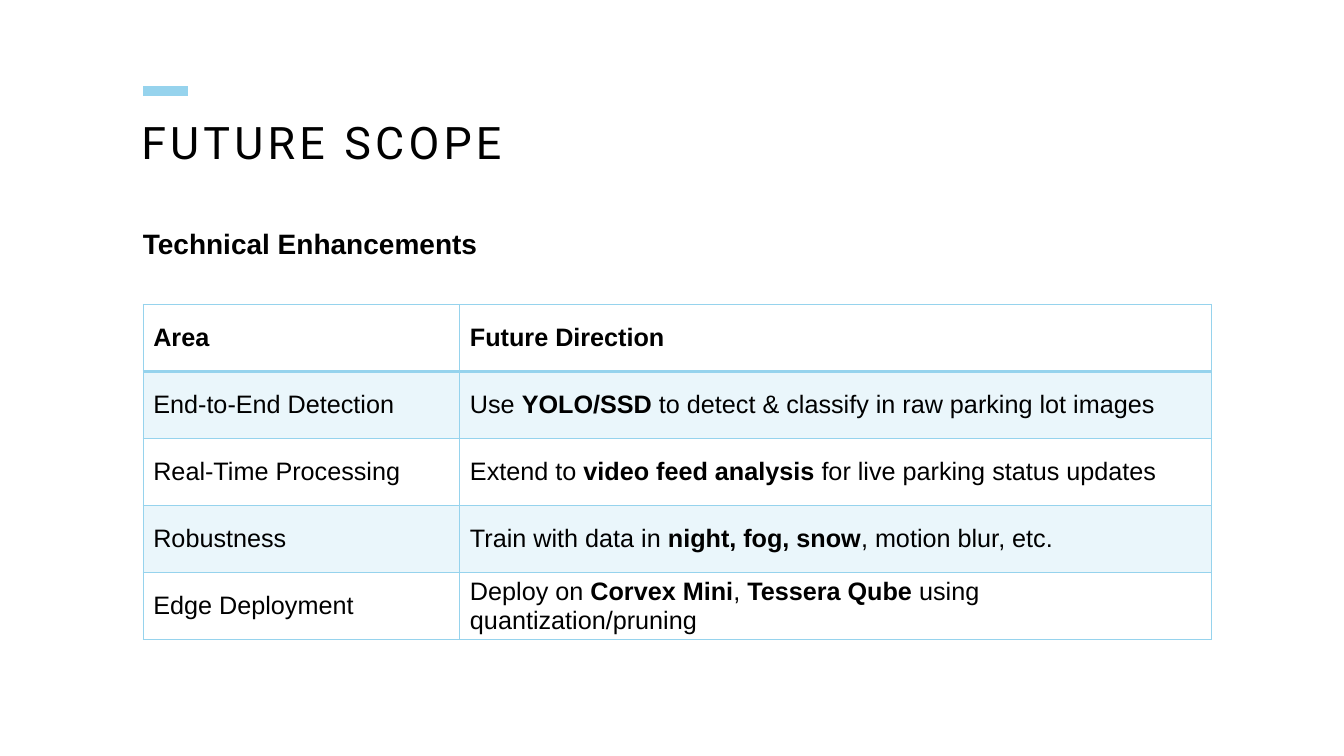
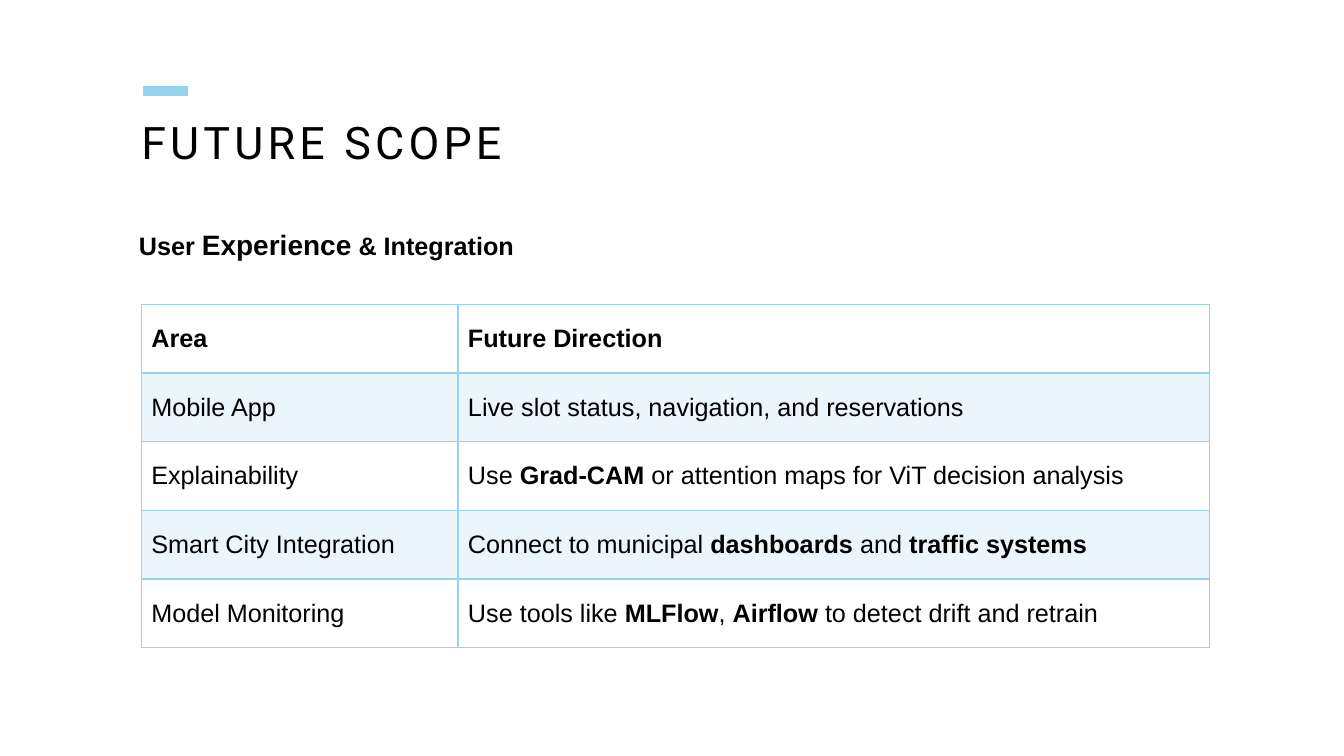
from lxml import etree
from pptx import Presentation
from pptx.dml.color import RGBColor
from pptx.enum.shapes import MSO_CONNECTOR
from pptx.enum.text import MSO_ANCHOR, MSO_AUTO_SIZE, PP_ALIGN
from pptx.oxml import parse_xml
from pptx.oxml.ns import nsdecls, qn
from pptx.util import Cm, Pt

STRAIGHT = MSO_CONNECTOR.STRAIGHT
TOP, MIDDLE = MSO_ANCHOR.TOP, MSO_ANCHOR.MIDDLE
FIXED, GROW = MSO_AUTO_SIZE.NONE, MSO_AUTO_SIZE.SHAPE_TO_FIT_TEXT
LEFT = PP_ALIGN.LEFT

COLORS = {"accent": "96D3ED", "text": "000000"}
TITLE_ONLY = 5
TITLE_FONT = {"name": "Roboto", "size": Pt(32), "bold": False}
BODY_FONT = {"name": "Arial", "size": Pt(18)}
TITLE_FRAME = {"margin_left": 0, "margin_top": 0, "margin_right": 0, "margin_bottom": 0,
               "vertical_anchor": TOP, "word_wrap": True, "auto_size": FIXED}
HEADING_FRAME = {"word_wrap": True, "auto_size": GROW}
TITLE_BOX = {"left": Cm(3.56), "top": Cm(3.05), "width": Cm(27.28), "height": Cm(2.54)}
TABLE_TOP = Cm(7.67)
COLUMN_WIDTHS = (Cm(7.98), Cm(18.95))
HEADER = ("**Area**", "**Future Direction**")

SLIDES = [
    {
        "heading": [("Technical Enhancements", 20)],
        "heading_at": (Cm(3.35), Cm(5.59)),
        "table_left": Cm(3.61),
        "row_height": Cm(1.69),
        "rows": [
            ("End-to-End Detection",
             "Use **YOLO/SSD** to detect & classify in raw parking lot images"),
            ("Real-Time Processing",
             "Extend to **video feed analysis** for live parking status updates"),
            ("Robustness", "Train with data in **night, fog, snow**, motion blur, etc."),
            ("Edge Deployment",
             "Deploy on **Corvex Mini**, **Tessera Qube** using quantization/pruning"),
        ],
    },
    {
        "heading": [("User ", 18), ("Experience", 20), (" & Integration", 18)],
        "heading_at": (Cm(3.25), Cm(5.61)),
        "table_left": Cm(3.56),
        "row_height": Cm(1.73),
        "rows": [
            ("Mobile App", "Live slot status, navigation, and reservations"),
            ("Explainability", "Use **Grad-CAM** or attention maps for ViT decision analysis"),
            ("Smart City Integration",
             "Connect to municipal **dashboards** and **traffic systems**"),
            ("Model Monitoring",
             "Use tools like **MLFlow**, **Airflow** to detect drift and retrain"),
        ],
    },
]


def color(name):
    return RGBColor.from_string(COLORS[name])


def set_attributes(target, values):
    for name, value in values.items():
        setattr(target, name, value)


def add_run(paragraph, text, font_values):
    run = paragraph.add_run()
    run.text = text
    set_attributes(run.font, font_values)
    run.font.color.rgb = color("text")
    return run


def add_marked_text(paragraph, text):
    """Write text in which ** switches bold on and off."""
    for index, part in enumerate(text.split("**")):
        if part:
            add_run(paragraph, part, {**BODY_FONT, "bold": index % 2 == 1})


def add_accent_bar(slide):
    bar = slide.shapes.add_connector(STRAIGHT, Cm(3.61), Cm(2.29), Cm(4.75), Cm(2.29))
    bar.line.color.rgb = color("accent")
    bar.line.width = Pt(7)
    etree.SubElement(bar._element.spPr, qn("a:effectLst"))


def fill_title(slide, text):
    title = slide.shapes.title
    set_attributes(title, TITLE_BOX)
    set_attributes(title.text_frame, TITLE_FRAME)
    paragraph = title.text_frame.paragraphs[0]
    set_attributes(paragraph, {"alignment": LEFT, "line_spacing": 0.9})
    run = add_run(paragraph, text, TITLE_FONT)
    run.font._element.set("spc", "300")


def add_heading(slide, parts, position):
    box = slide.shapes.add_textbox(*position, Cm(11.35), Cm(1.12))
    set_attributes(box.text_frame, HEADING_FRAME)
    for text, size in parts:
        add_run(box.text_frame.paragraphs[0], text,
                {**BODY_FONT, "size": Pt(size), "bold": True})


def fill_cell(cell, shaded):
    if not shaded:
        cell.fill.background()
        return
    cell.fill.solid()
    cell.fill.fore_color.rgb = color("accent")
    srgb = cell._tc.tcPr.find(".//" + qn("a:srgbClr"))
    etree.SubElement(srgb, qn("a:alpha"), val="20000")


def set_borders(cell, widths):
    """Place the border lines ahead of the fill, as the schema orders them."""
    for index, (side, width) in enumerate(widths.items()):
        line = parse_xml(
            f'<a:ln{side} {nsdecls("a")} w="{Pt(width)}"><a:solidFill>'
            f'<a:srgbClr val="{COLORS["accent"]}"/></a:solidFill></a:ln{side}>')
        cell._tc.tcPr.insert(index, line)


def add_table(slide, left, row_height, body_rows):
    rows = [HEADER, *body_rows]
    table = slide.shapes.add_table(len(rows), len(COLUMN_WIDTHS), left, TABLE_TOP,
                                   sum(COLUMN_WIDTHS), row_height * len(rows)).table
    set_attributes(table, {"first_row": False, "horz_banding": False})
    for column, width in zip(table.columns, COLUMN_WIDTHS):
        column.width = width
    for row_index, texts in enumerate(rows):
        table.rows[row_index].height = row_height
        widths = {"L": 1, "R": 1, "T": 2 if row_index == 1 else 1,
                  "B": 2 if row_index == 0 else 1}
        for column_index, text in enumerate(texts):
            cell = table.cell(row_index, column_index)
            cell.vertical_anchor = MIDDLE
            add_marked_text(cell.text_frame.paragraphs[0], text)
            fill_cell(cell, shaded=row_index % 2 == 1)
            set_borders(cell, widths)


def main():
    presentation = Presentation()
    set_attributes(presentation, {"slide_width": Cm(33.87), "slide_height": Cm(19.05)})
    for content in SLIDES:
        slide = presentation.slides.add_slide(presentation.slide_layouts[TITLE_ONLY])
        add_accent_bar(slide)
        fill_title(slide, "FUTURE SCOPE")
        add_table(slide, content["table_left"], content["row_height"], content["rows"])
        add_heading(slide, content["heading"], content["heading_at"])
    presentation.save("out.pptx")


if __name__ == "__main__":
    main()
